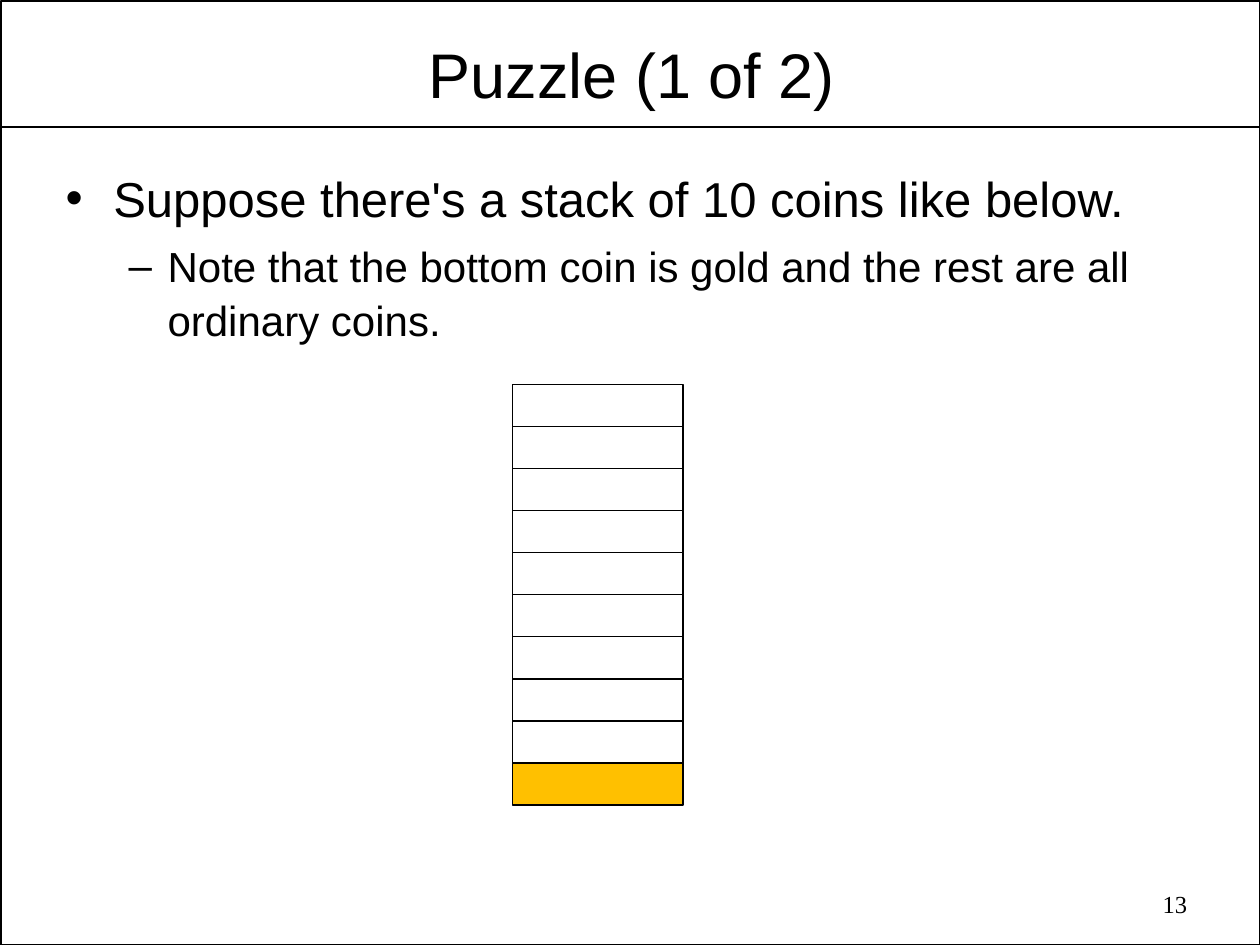
import pptx
import pptx.util
import pptx.dml.color
import pptx.enum.shapes
import pptx.enum.text
import pptx.oxml
import pptx.oxml.ns
from lxml import etree

Inches = pptx.util.Inches
Pt = pptx.util.Pt
ALIGN = pptx.enum.text.PP_ALIGN
ANCHOR = pptx.enum.text.MSO_ANCHOR
RECTANGLE = pptx.enum.shapes.MSO_SHAPE.RECTANGLE
BLACK = "000000"


def color(hex_value):
    return pptx.dml.color.RGBColor.from_string(hex_value)


def write(paragraph, text, size, font_name, **formats):
    paragraph.text = text
    for name, value in formats.items():
        setattr(paragraph, name, value)
    for name, value in {"size": Pt(size), "name": font_name}.items():
        setattr(paragraph.font, name, value)
    paragraph.font.color.rgb = color(BLACK)


presentation = pptx.Presentation()
presentation.slide_width = Inches(10)
presentation.slide_height = Inches(7.5)
slide = presentation.slides.add_slide(presentation.slide_layouts[1])
title, body = slide.placeholders[0], slide.placeholders[1]

# Slide frame and rule under the title
frame = slide.shapes.add_shape(
    RECTANGLE, Inches(0.01), Inches(0.01), Inches(9.99), Inches(7.49))
frame.shadow.inherit = False
frame.fill.background()
rule = slide.shapes.add_connector(
    pptx.enum.shapes.MSO_CONNECTOR.STRAIGHT,
    Inches(0.01), Inches(1.01), Inches(9.99), Inches(1.01))
etree.SubElement(rule._element.spPr, pptx.oxml.ns.qn("a:effectLst"))
for outlined in (frame, rule):
    outlined.line.color.rgb = color(BLACK)
    outlined.line.width = Pt(1)

# Text boxes: places and shared settings
number = slide.shapes.add_textbox(0, 0, 0, 0)
boxes = [
    (title, (0.53, 0.19, 8.97, 0.66), (0.07, 0.09, 0.07, 0)),
    (body, (0.42, 1.26, 9.17, 1.76), (0.1, 0.05, 0.1, 0.05)),
    (number, (7.18, 7.01, 2.34, 0.36), (0.1, 0.05, 0.1, 0.05)),
]
for shape, place, margins in boxes:
    for side, value in zip(("left", "top", "width", "height"), place):
        setattr(shape, side, Inches(value))
    for side, value in zip(("left", "top", "right", "bottom"), margins):
        setattr(shape.text_frame, "margin_" + side, Inches(value))
    shape.text_frame.word_wrap = True
    shape.text_frame.auto_size = pptx.enum.text.MSO_AUTO_SIZE.NONE
    shape.text_frame.vertical_anchor = ANCHOR.TOP

write(title.text_frame.paragraphs[0], "Puzzle (1 of 2)", 36, "Arial",
      alignment=ALIGN.CENTER)
write(number.text_frame.paragraphs[0], "13", 14, "Times New Roman",
      alignment=ALIGN.RIGHT)

# Bulleted list: text, size, bullet, indent, hanging, space before
items = [
    ("Suppose there's a stack of 10 coins like below.", 28, "•", 0.38, 0.38, 0),
    ("Note that the bottom coin is gold and the rest are all ordinary coins.",
     24, "–", 0.81, 0.31, 6),
]
for level, (text, size, bullet, indent, hanging, before) in enumerate(items):
    if level:
        paragraph = body.text_frame.add_paragraph()
    else:
        paragraph = body.text_frame.paragraphs[0]
    properties = paragraph._p.get_or_add_pPr()
    properties.set("marL", str(Inches(indent)))
    properties.set("indent", str(-Inches(hanging)))
    namespace = pptx.oxml.ns.nsdecls("a")
    for xml in (f'<a:buClr {namespace}><a:srgbClr val="{BLACK}"/></a:buClr>',
                f'<a:buFont {namespace} typeface="Arial"/>',
                f'<a:buChar {namespace} char="{bullet}"/>'):
        properties.append(pptx.oxml.parse_xml(xml))
    write(paragraph, text, size, "Arial", level=level,
          space_before=Pt(before), line_spacing=1.06)

# Stack of coins, from the gold one at the bottom upwards
coin_count = 10
stack_top, stack_height = 3.05, 3.34
coin_height = stack_height / coin_count
stack = slide.shapes.add_group_shape()
for position in reversed(range(coin_count)):
    coin = stack.shapes.add_shape(
        RECTANGLE, Inches(4.07), Inches(stack_top + position * coin_height),
        Inches(1.35), Inches(coin_height))
    coin.shadow.inherit = False
    coin.line.color.rgb = color(BLACK)
    coin.line.width = Pt(0.75)
    if position == coin_count - 1:
        coin.fill.solid()
        coin.fill.fore_color.rgb = color("FFC000")
    else:
        coin.fill.background()

presentation.save("out.pptx")
